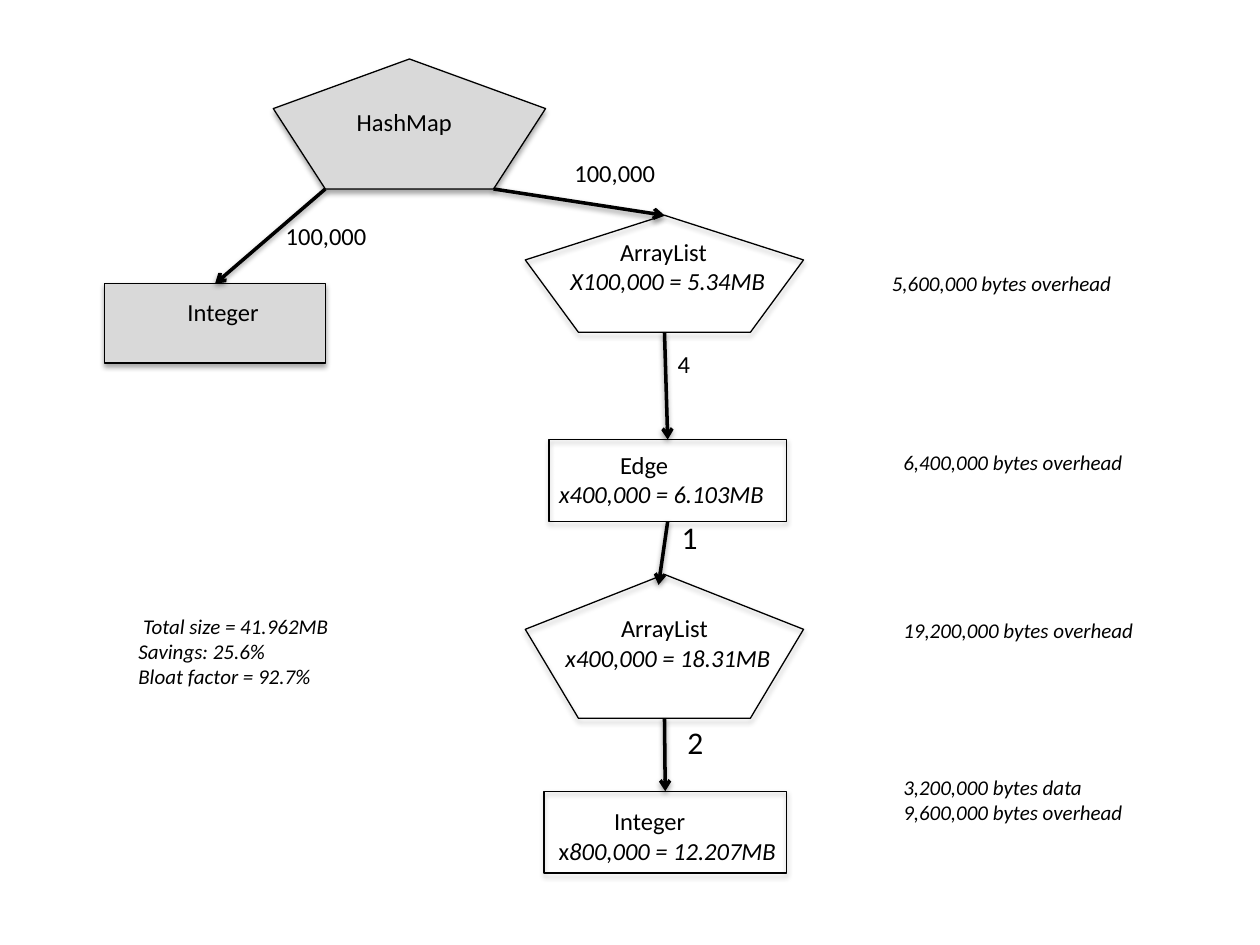
from lxml import etree
from pptx import Presentation
from pptx.dml.color import RGBColor
from pptx.enum.shapes import MSO_CONNECTOR, MSO_SHAPE
from pptx.enum.text import MSO_AUTO_SIZE
from pptx.oxml.ns import qn
from pptx.util import Cm, Pt

PENTAGON = MSO_SHAPE.REGULAR_PENTAGON
RECTANGLE = MSO_SHAPE.RECTANGLE
STRAIGHT = MSO_CONNECTOR.STRAIGHT
FIT_SHAPE = MSO_AUTO_SIZE.SHAPE_TO_FIT_TEXT

COLORS = {"ink": "000000", "shade": "D9D9D9"}
FONT = "Calibri"

NODES = {
    "map": (PENTAGON, 5.51, 1.19, 5.49, 2.62, "shade"),
    "key": (RECTANGLE, 2.11, 5.72, 4.45, 1.6, "shade"),
    "edge_list": (PENTAGON, 10.59, 4.34, 5.61, 2.36, None),
    "edge": (RECTANGLE, 11.07, 8.86, 4.78, 1.65, None),
    "value_list": (PENTAGON, 10.59, 11.58, 5.61, 2.9, None),
    "value": (RECTANGLE, 10.97, 15.95, 4.88, 1.65, None),
}

SITES = {"top": (0.5, 0), "bottom": (0.5, 1), "left_foot": (0.191, 1), "right_foot": (0.809, 1)}

ARROWS = [
    ("map", "right_foot", "edge_list", (0, 0)),
    ("map", "left_foot", "key", (0, 0)),
    ("edge_list", "bottom", "edge", (0, 0)),
    ("edge", "bottom", "value_list", (-0.12, 0.21)),
    ("value_list", "bottom", "value", (0, 0)),
]

# Each line: indent in cm, then (text, italic) runs
LABELS = [
    (6.83, 2.03, 2.64, 0.86, 14, [(0, [(" HashMap ", False)])]),
    (3.53, 5.87, 1.98, 0.86, 14, [(0, [("Integer", False)])]),
    (11.25, 4.65, 4.6, 1.45, 14, [(1.0, [("ArrayList", False)]), (0, [("X100,000 = 5.34MB", True)])]),
    (11.02, 8.94, 4.8, 1.45, 14, [(1.23, [("Edge", False)]), (0, [("x400,000 = 6.103MB", True)])]),
    (11.15, 12.24, 4.8, 1.45, 14, [(1.12, [("ArrayList", False)]), (0, [("x400,000 = 18.31MB", True)])]),
    (10.9, 16.13, 5.13, 1.45, 14,
     [(1.23, [("Integer", False)]), (0, [(" x", False), ("800,000 = 12.207MB", True)])]),
    (5.51, 4.34, 2.16, 0.86, 14, [(0, [("100,000", False)])]),
    (11.33, 3.07, 2.16, 0.86, 14, [(0, [("100,000", False)])]),
    (13.41, 6.91, 0.76, 0.86, 14, [(0, [("4", False)])]),
    (13.49, 10.31, 0.84, 1.02, 18, [(0, [("1", False)])]),
    (13.61, 14.45, 0.84, 1.02, 18, [(0, [("2", False)])]),
    (17.73, 5.33, 5.08, 0.76, 12, [(0, [("5,600,000 bytes overhead", True)])]),
    (17.96, 8.94, 5.08, 0.76, 12, [(0, [("6,400,000 bytes overhead", True)])]),
    (17.96, 12.32, 5.28, 0.76, 12, [(0, [("19,200,000 bytes overhead", True)])]),
    (17.96, 15.49, 5.08, 1.27, 12,
     [(0, [("3,200,000 bytes data", True)]), (0, [("9,600,000 bytes overhead", True)])]),
    (2.54, 12.24, 4.65, 1.8, 12,
     [(0, [(" Total size = 41.962MB", True)]), (0, [("Savings: 25.6%", True)]),
      (0, [("Bloat factor = 92.7%", True)])]),
]


def color(name):
    return RGBColor.from_string(COLORS[name])


def set_line(line, width):
    line.color.rgb = color("ink")
    line.width = Pt(width)


def add_shadow(properties, distance, opacity):
    effects = properties.find(qn("a:effectLst"))
    if effects is None:
        effects = etree.SubElement(properties, qn("a:effectLst"))
    shadow = etree.SubElement(effects, qn("a:outerShdw"), blurRad=str(Pt(3.1)),
                              dist=str(Pt(distance)), dir="5400000", rotWithShape="0")
    tint = etree.SubElement(shadow, qn("a:srgbClr"), val=COLORS["ink"])
    etree.SubElement(tint, qn("a:alpha"), val=str(opacity * 1000))


def add_node(slide, kind, left, top, width, height, fill):
    shape = slide.shapes.add_shape(kind, Cm(left), Cm(top), Cm(width), Cm(height))
    if fill:
        shape.fill.solid()
        shape.fill.fore_color.rgb = color(fill)
    else:
        shape.fill.background()
    set_line(shape.line, 0.75)
    shape.shadow.inherit = False
    add_shadow(shape._element.spPr, 1.8, 35)


def site(node, name):
    left, top, width, height = NODES[node][1:5]
    across, down = SITES[name]
    return left + across * width, top + down * height


def add_arrow(slide, source, start_site, target, shift):
    start = site(source, start_site)
    end = [place + offset for place, offset in zip(site(target, "top"), shift)]
    connector = slide.shapes.add_connector(STRAIGHT, *[Cm(value) for value in (*start, *end)])
    set_line(connector.line, 2)
    properties = connector._element.spPr
    etree.SubElement(properties.find(qn("a:ln")), qn("a:tailEnd"), type="arrow")
    add_shadow(properties, 1.6, 38)


def add_label(slide, left, top, width, height, size, lines):
    box = slide.shapes.add_textbox(Cm(left), Cm(top), Cm(width), Cm(height))
    frame = box.text_frame
    frame.word_wrap = False
    frame.auto_size = FIT_SHAPE
    for index, (indent, runs) in enumerate(lines):
        paragraph = frame.add_paragraph() if index else frame.paragraphs[0]
        if indent:
            paragraph._p.get_or_add_pPr().set("marL", str(Cm(indent)))
        for text, italic in runs:
            run = paragraph.add_run()
            run.text = text
            run.font.color.rgb = color("ink")
            for name, value in {"name": FONT, "size": Pt(size), "italic": italic}.items():
                setattr(run.font, name, value)


presentation = Presentation()
presentation.slide_width = Cm(25.4)
presentation.slide_height = Cm(19.05)
slide = presentation.slides.add_slide(presentation.slide_layouts[6])

for node in NODES.values():
    add_node(slide, *node)
for arrow in ARROWS:
    add_arrow(slide, *arrow)
for label in LABELS:
    add_label(slide, *label)

presentation.save("out.pptx")
